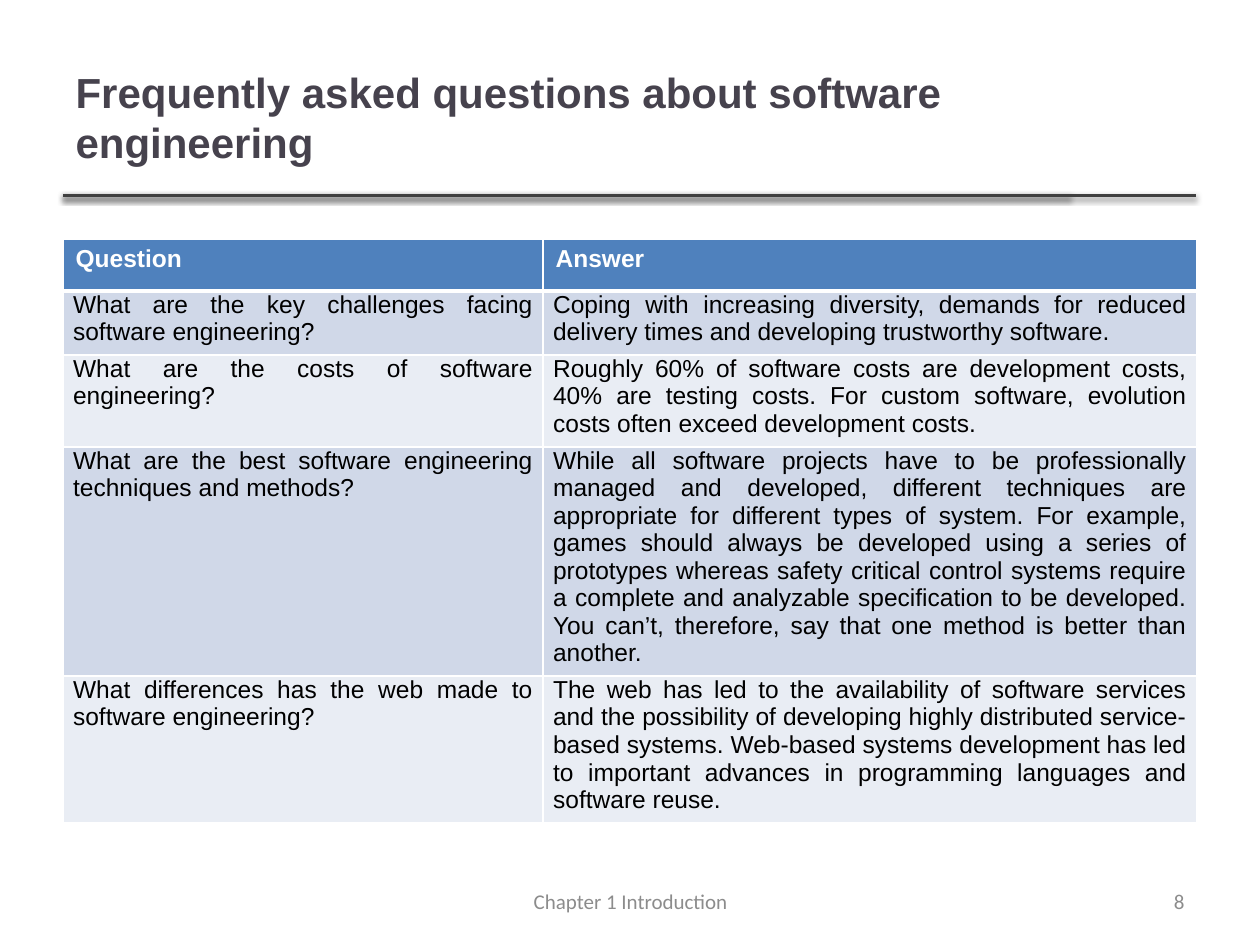
from dataclasses import dataclass

from lxml.etree import SubElement
from pptx import Presentation
from pptx.dml.color import RGBColor
from pptx.enum.shapes import MSO_CONNECTOR
from pptx.enum.text import MSO_ANCHOR, MSO_AUTO_SIZE, PP_ALIGN
from pptx.oxml import parse_xml
from pptx.oxml.ns import nsdecls, qn
from pptx.slide import Slide
from pptx.table import Table, _Cell as Cell
from pptx.text.text import TextFrame
from pptx.util import Inches, Pt


@dataclass(frozen=True)
class Style:
    """Font, size, colour and weight of a text."""
    font: str
    size: int
    color: str
    bold: bool = False


@dataclass(frozen=True)
class Theme:
    """Colours and type styles of the slide."""
    title: Style = Style("Arial", 24, "46424D", True)
    header: Style = Style("Arial", 14, "FFFFFF", True)
    body: Style = Style("Arial", 14, "000000")
    footer: Style = Style("Calibri", 12, "8C8C8C")
    rule: str = "404040"
    border: str = "FFFFFF"
    header_fill: str = "4F81BD"
    bands: tuple[str, str] = ("D0D8E8", "E9EDF4")


@dataclass(frozen=True)
class Faq:
    """A question, its answer and the height of their row."""
    question: str
    answer: str
    height: float


@dataclass(frozen=True)
class FooterItem:
    """A text at the foot of the slide."""
    text: str
    left: float
    width: float
    align: PP_ALIGN


THEME = Theme()
MARGIN = 0.5
COLUMN_WIDTHS = (3.81, 5.19)
FAQS = (
    Faq("Question", "Answer", 0.41),
    Faq("What are the key challenges facing software engineering?",
        "Coping with increasing diversity, demands for reduced delivery times "
        "and developing trustworthy software.", 0.5),
    Faq("What are the costs of software engineering?",
        "Roughly 60% of software costs are development costs, 40% are testing "
        "costs. For custom software, evolution costs often exceed development "
        "costs.", 0.73),
    Faq("What are the best software engineering techniques and methods?",
        "While all software projects have to be professionally managed and "
        "developed, different techniques are appropriate for different types "
        "of system. For example, games should always be developed using a "
        "series of prototypes whereas safety critical control systems require "
        "a complete and analyzable specification to be developed. You can’t, "
        "therefore, say that one method is better than another.", 1.82),
    Faq("What differences has the web made to software engineering?",
        "The web has led to the availability of software services and the "
        "possibility of developing highly distributed service-based systems. "
        "Web-based systems development has led to important advances in "
        "programming languages and software reuse.", 1.16),
)
FOOTER = (
    FooterItem("Chapter 1 Introduction", 3.42, 3.17, PP_ALIGN.CENTER),
    FooterItem("8", 7.17, 2.33, PP_ALIGN.RIGHT),
)


def write(frame: TextFrame, text: str, style: Style, align: PP_ALIGN) -> None:
    """Put one styled paragraph into a text frame."""
    frame.text = text
    paragraph = frame.paragraphs[0]
    paragraph.alignment = align
    font = paragraph.runs[0].font
    font.name, font.size, font.bold = style.font, Pt(style.size), style.bold
    font.color.rgb = RGBColor.from_string(style.color)


def add_title(slide: Slide, text: str) -> None:
    """Place and fill the title placeholder."""
    title = slide.shapes.title
    title.left, title.top = Inches(MARGIN), Inches(0.3)
    title.width, title.height = Inches(7.98), Inches(1.25)
    write(title.text_frame, text, THEME.title, PP_ALIGN.LEFT)
    title.text_frame.vertical_anchor = MSO_ANCHOR.MIDDLE
    title.text_frame.auto_size = MSO_AUTO_SIZE.NONE


def add_rule(slide: Slide, right: float) -> None:
    """Draw a horizontal rule with a soft shadow below it."""
    y = Inches(1.55)
    rule = slide.shapes.add_connector(
        MSO_CONNECTOR.STRAIGHT, Inches(MARGIN), y, Inches(right), y)
    rule.line.color.rgb = RGBColor.from_string(THEME.rule)
    rule.line.width = Pt(2)
    rule._element.spPr.append(parse_xml(
        f'<a:effectLst {nsdecls("a")}>'
        f'<a:outerShdw blurRad="{Pt(3.1)}" dist="{Pt(1.6)}" dir="5400000" '
        'rotWithShape="0"><a:srgbClr val="000000"><a:alpha val="38000"/>'
        '</a:srgbClr></a:outerShdw></a:effectLst>'))


def set_borders(cell: Cell, top: float, bottom: float) -> None:
    """Draw the four borders of a cell, widths in points."""
    properties = cell._tc.get_or_add_tcPr()
    for side, width in (("L", 1), ("R", 1), ("T", top), ("B", bottom)):
        line = SubElement(properties, qn(f"a:ln{side}"), w=str(Pt(width)))
        fill = SubElement(line, qn("a:solidFill"))
        SubElement(fill, qn("a:srgbClr"), val=THEME.border)


def fill_row(table: Table, index: int, faq: Faq) -> None:
    """Fill and format one row; the first is the header."""
    is_header = index == 0
    table.rows[index].height = Inches(faq.height)
    for column, text in enumerate((faq.question, faq.answer)):
        cell = table.cell(index, column)
        set_borders(cell, 3 if index == 1 else 1, 3 if is_header else 1)
        cell.fill.solid()
        if is_header:
            color, style, align = THEME.header_fill, THEME.header, PP_ALIGN.LEFT
        else:
            color = THEME.bands[(index - 1) % 2]
            style, align = THEME.body, PP_ALIGN.JUSTIFY
            cell.margin_left = cell.margin_right = Inches(0.08)
            cell.margin_top, cell.margin_bottom = Inches(0), Inches(0.07)
        cell.fill.fore_color.rgb = RGBColor.from_string(color)
        write(cell.text_frame, text, style, align)


def add_faq_table(slide: Slide) -> None:
    """Add the table of questions and answers."""
    table = slide.shapes.add_table(
        len(FAQS), len(COLUMN_WIDTHS), Inches(MARGIN), Inches(1.9),
        Inches(sum(COLUMN_WIDTHS)), Inches(sum(faq.height for faq in FAQS))).table
    for column, width in zip(table.columns, COLUMN_WIDTHS):
        column.width = Inches(width)
    for index, faq in enumerate(FAQS):
        fill_row(table, index, faq)


def add_footer_item(slide: Slide, item: FooterItem) -> None:
    """Add one text at the foot of the slide."""
    frame = slide.shapes.add_textbox(
        Inches(item.left), Inches(6.95), Inches(item.width), Inches(0.4)).text_frame
    frame.word_wrap = True
    frame.vertical_anchor = MSO_ANCHOR.MIDDLE
    write(frame, item.text, THEME.footer, item.align)


def main() -> None:
    """Build and save the slide."""
    deck = Presentation()
    deck.slide_width, deck.slide_height = Inches(10), Inches(7.5)
    slide = deck.slides.add_slide(deck.slide_layouts.get_by_name("Title Only"))
    for right in (8.49, 9.49):
        add_rule(slide, right)
    add_title(slide, "Frequently asked questions about software engineering")
    add_faq_table(slide)
    for item in FOOTER:
        add_footer_item(slide, item)
    deck.save("out.pptx")


main()
